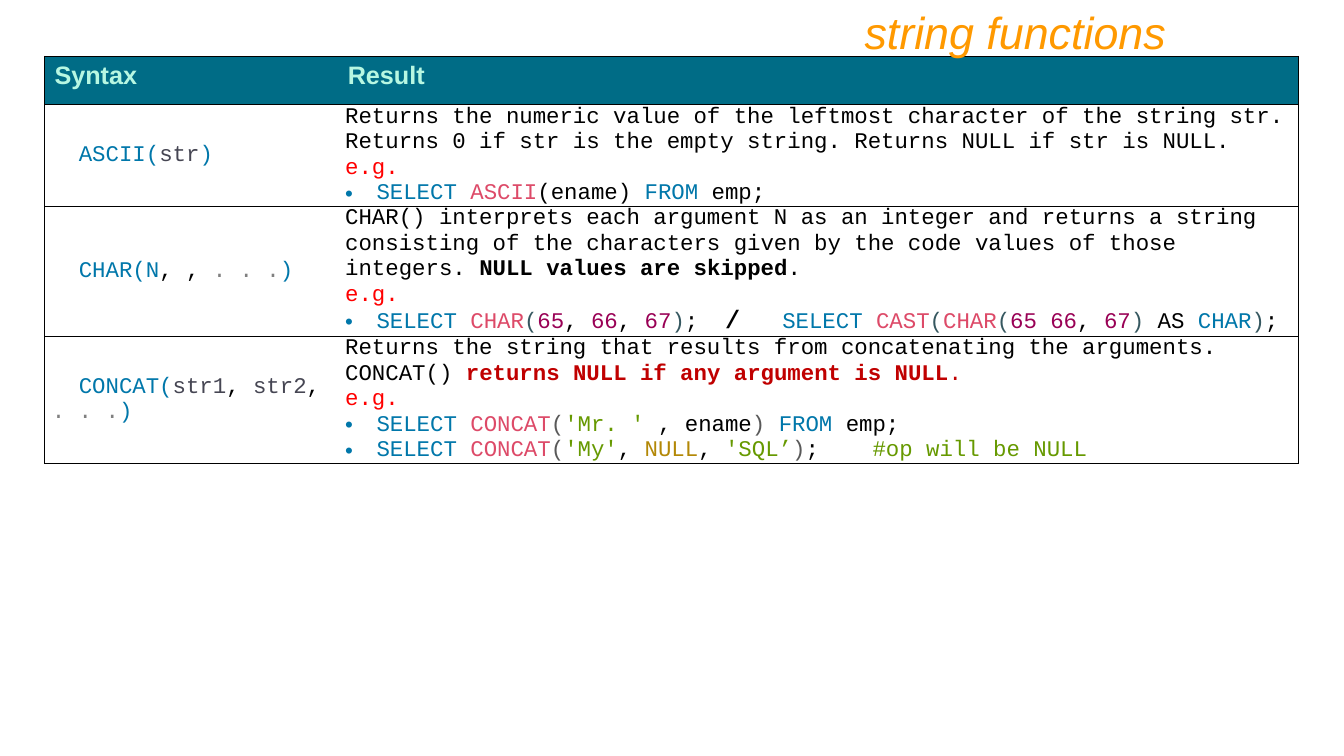
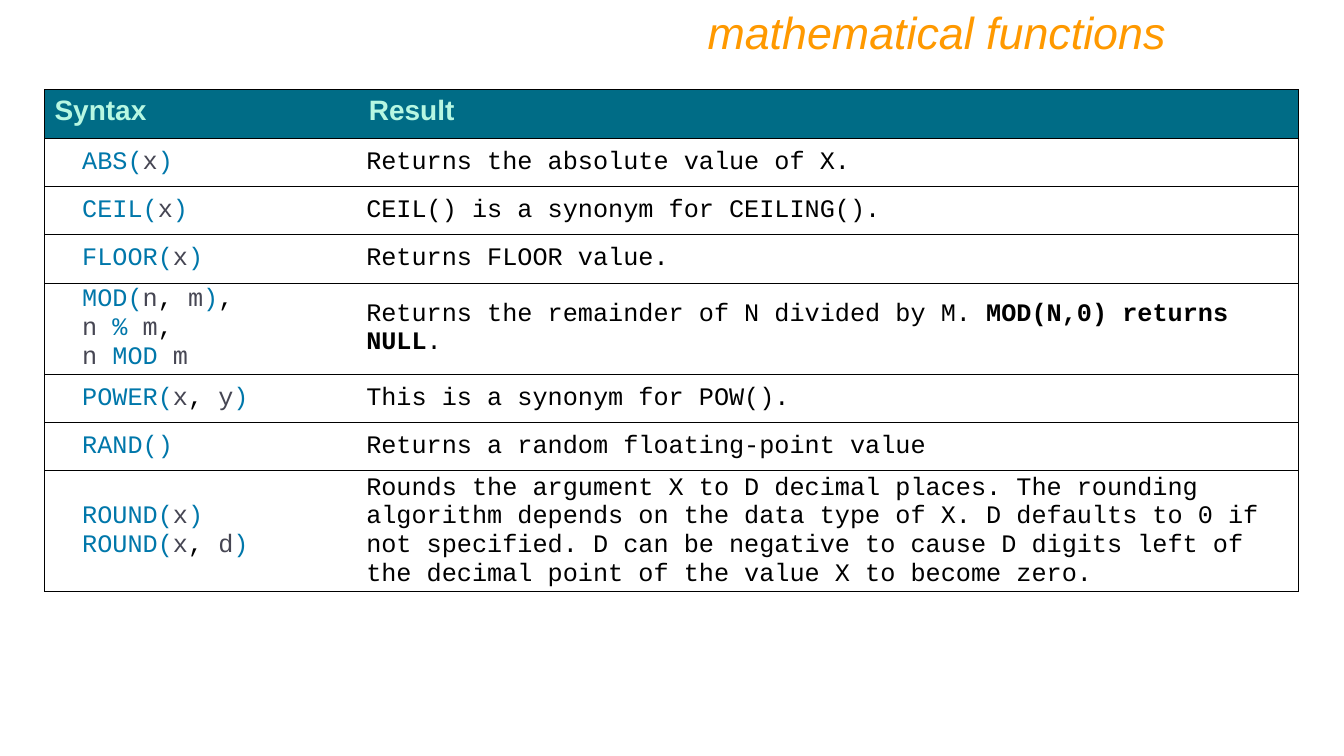
"""Build two reference slides listing SQL string and mathematical functions."""
from lxml import etree
from pptx import Presentation, util as u
from pptx.dml.color import RGBColor
from pptx.enum import text
from pptx.oxml.ns import qn

COLORS = {
    "k": "0077AA", "f": "DD4A68", "a": "464653", "t": "000000", "b": "000000",
    "/": "000000", "g": "808080", "e": "FF0000", "w": "C00000", "wb": "C00000",
    "p": "365860", "q": "595959", "n": "990055", "s": "669900", "c": "B38807",
}
BOLD = {"b", "/", "wb"}

STRING_ROWS = [
    (["{k}ASCII({a}str{k})"],
     ["{t}Returns the numeric value of the leftmost character of the string str. "
      "Returns 0 if str is the empty string. Returns NULL if str is NULL.",
      "{e}e.g.",
      "•{k}SELECT {f}ASCII{t}(ename) {k}FROM{t} emp;"]),
    (["{k}CHAR(N{t}, , {g}. . .{k})"],
     ["{t}CHAR() interprets each argument N as an integer and returns a string "
      "consisting of the characters given by the code values of those integers. "
      "{b}NULL values are skipped{t}.",
      "{e}e.g.",
      "•{k}SELECT {f}CHAR{p}({n}65{t}, {n}66{t}, {n}67{p}){t};  {/}/ {t}  "
      "{k}SELECT {f}CAST{p}({f}CHAR{p}({n}65 66{t}, {n}67{p}) {t}AS {k}CHAR{p}){t};"]),
    (["{k}CONCAT({a}str1{t},{a} str2{t}, {g}. . .{k})"],
     ["{t}Returns the string that results from concatenating the arguments. "
      "CONCAT() {wb}returns NULL if any argument is NULL{w}.",
      "{e}e.g.",
      "•{k}SELECT {f}CONCAT{q}({s}'Mr. ' {t}, ename{q}) {k}FROM {t}emp;",
      "•{k}SELECT {f}CONCAT{q}({s}'My'{t}, {c}NULL{t}, {s}'SQL’{q}){t};    "
      "{s}#op will be NULL"]),
]

MATH_ROWS = [
    (["{k}ABS({a}x{k})"], ["{t}Returns the absolute value of X."]),
    (["{k}CEIL({a}x{k})"], ["{t}CEIL() is a synonym for CEILING()."]),
    (["{k}FLOOR({a}x{k})"], ["{t}Returns FLOOR value."]),
    (["{k}MOD({a}n{t},{a} m{k}){t},", "{a}n{k} % {a}m{t},", "{a}n{k} MOD {a}m"],
     ["{t}Returns the remainder of N divided by M. {b}MOD(N,0) returns NULL{t}."]),
    (["{k}POWER({a}x{t},{a} y{k})"], ["{t}This is a synonym for POW()."]),
    (["{k}RAND()"], ["{t}Returns a random floating-point value"]),
    (["{k}ROUND({a}x{k})", "{k}ROUND({a}x{t},{a} d{k})"],
     ["{t}Rounds the argument X to D decimal places. The rounding algorithm depends "
      "on the data type of X. D defaults to 0 if not specified. D can be negative to "
      "cause D digits left of the decimal point of the value X to become zero."]),
]


def rgb(value):
    return RGBColor.from_string(value)


class Deck:
    HEAD_FONT, CODE_FONT = "Arial", "Courier New"
    HEAD_FILL, HEAD_TEXT, TITLE, LINE = "006C86", "B7F7E2", "FF9900", "000000"
    LEFT, WIDTH, ROW = 1.12, 31.6, 1.22
    BULLET_INDENT = 0.79

    def __init__(self):
        self.prs = Presentation()
        self.prs.slide_width, self.prs.slide_height = u.Cm(33.87), u.Cm(19.05)
        self.s = None

    def slide(self):
        self.s = self.prs.slides.add_slide(self.prs.slide_layouts[6])

    def font(self, r, name, size, color, bold=False, italic=False):
        f = r.font
        f.name, f.size, f.bold, f.italic = name, u.Pt(size), bold, italic
        f.color.rgb = rgb(color)

    def title(self, words):
        sp = self.s.shapes.add_textbox(u.Cm(4.24), 0, u.Cm(25.4), u.Cm(1.63))
        tf = sp.text_frame
        tf.word_wrap = True
        tf.auto_size = text.MSO_AUTO_SIZE.SHAPE_TO_FIT_TEXT
        tf.text = words
        p = tf.paragraphs[0]
        p.alignment = text.PP_ALIGN.RIGHT
        self.font(p.runs[0], self.HEAD_FONT, 32, self.TITLE, italic=True)

    def borders(self, cell, drawn):
        tc_pr = cell._tc.get_or_add_tcPr()
        for i, side in enumerate("LRTB"):
            ln = etree.Element(qn(f"a:ln{side}"), w=str(u.Pt(0.75)))
            if side in drawn:
                fill = etree.SubElement(ln, qn("a:solidFill"))
                etree.SubElement(fill, qn("a:srgbClr"), val=self.LINE)
            else:
                etree.SubElement(ln, qn("a:noFill"))
            tc_pr.insert(i, ln)

    def indent(self, p, first, left=0):
        p_pr = p._p.get_or_add_pPr()
        p_pr.set("marL", str(left))
        p_pr.set("indent", str(first))
        return p_pr

    def bullet(self, p):
        width = u.Cm(self.BULLET_INDENT)
        p_pr = self.indent(p, -width, width)
        etree.SubElement(p_pr, qn("a:buFont"), typeface=self.HEAD_FONT)
        etree.SubElement(p_pr, qn("a:buChar"), char="•")

    def header_cell(self, cell, words, size):
        cell.fill.solid()
        cell.fill.fore_color.rgb = rgb(self.HEAD_FILL)
        cell.text_frame.text = words
        r = cell.text_frame.paragraphs[0].runs[0]
        self.font(r, self.HEAD_FONT, size, self.HEAD_TEXT, bold=True)

    def code_cell(self, cell, lines, size, first_indent):
        cell.fill.background()
        cell.vertical_anchor = text.MSO_ANCHOR.MIDDLE
        cell.margin_left = cell.margin_right = u.Cm(0.19)
        cell.margin_top = cell.margin_bottom = 0
        tf = cell.text_frame
        for i, line in enumerate(lines):
            p = tf.add_paragraph() if i else tf.paragraphs[0]
            if line.startswith("•"):
                self.bullet(p)
            elif first_indent:
                self.indent(p, first_indent)
            for part in line.lstrip("•").split("{")[1:]:
                style, words = part.split("}")
                r = p.add_run()
                r.text = words
                run_size = size + 2 if style == "/" else size
                self.font(r, self.CODE_FONT, run_size, COLORS[style], style in BOLD)

    def table(self, top, height, first_col, size, rows):
        frame = self.s.shapes.add_table(len(rows) + 1, 2, u.Cm(self.LEFT), u.Cm(top),
                                        u.Cm(self.WIDTH), u.Cm(height))
        tbl = frame.table
        tbl.first_row = tbl.horz_banding = False
        for col, width in zip(tbl.columns, (first_col, self.WIDTH - first_col)):
            col.width = u.Cm(width)
        for row in tbl.rows:
            row.height = u.Cm(self.ROW)
        frame.height = u.Cm(height)
        for c, words in enumerate(("Syntax", "Result")):
            self.header_cell(tbl.cell(0, c), words, size + 2)
        two_chars = u.Pt(1.2 * size)
        for i, row in enumerate(rows, 1):
            for c, lines in enumerate(row):
                self.code_cell(tbl.cell(i, c), lines, size, 0 if c else two_chars)
        for i in range(len(rows) + 1):
            self.borders(tbl.cell(i, 0), "LTB")
            self.borders(tbl.cell(i, 1), "RTB")


def main():
    deck = Deck()
    deck.slide()
    deck.table(1.42, 10.11, 7.39, 16, STRING_ROWS)
    deck.title("string functions")
    deck.slide()
    deck.title("mathematical functions")
    deck.table(2.26, 11.94, 7.92, 18, MATH_ROWS)
    deck.prs.save("out.pptx")


if __name__ == "__main__":
    main()
